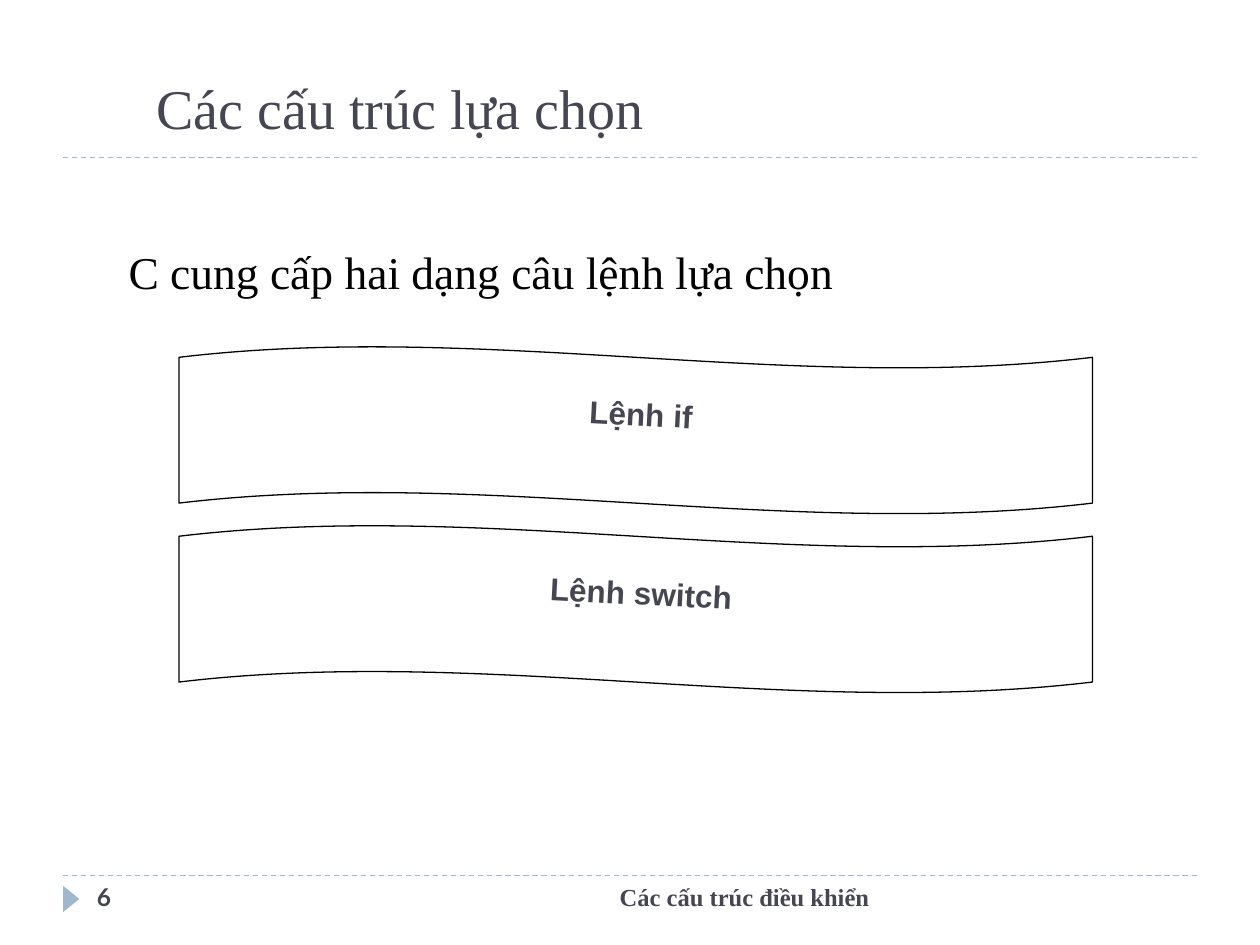
from lxml import etree
from pptx import Presentation
from pptx.dml.color import RGBColor
from pptx.enum.dml import MSO_LINE_DASH_STYLE as DASH
from pptx.enum.shapes import MSO_CONNECTOR, MSO_SHAPE as SHAPE
from pptx.enum.text import MSO_ANCHOR as ANCHOR, MSO_AUTO_SIZE as AUTO, PP_ALIGN as ALIGN
from pptx.oxml.ns import qn
from pptx.util import Inches, Pt

INK, RULE, BLACK = "464653", "9FB8CD", "000000"
SERIF = "Times New Roman"


def rgb(code):
    """Turn a hex string into a colour."""
    return RGBColor.from_string(code)


def emu(box):
    """Turn a box in inches into lengths."""
    return [Inches(v) for v in box]


def set_text(sp, text, color, font, para=None, frame=None):
    """Write one formatted paragraph into a shape."""
    tf = sp.text_frame
    settings = {"auto_size": AUTO.NONE, "word_wrap": True, "vertical_anchor": ANCHOR.TOP}
    for key, value in (settings | (frame or {})).items():
        setattr(tf, key, value)
    p = tf.paragraphs[0]
    for key, value in ({"alignment": ALIGN.LEFT, "space_before": Pt(0)} | (para or {})).items():
        setattr(p, key, value)
    r = p.add_run()
    r.text = text
    for key, value in font.items():
        setattr(r.font, key, value)
    r.font.color.rgb = rgb(color)
    return p


def place(sp, box):
    """Move a placeholder to a box."""
    sp.left, sp.top, sp.width, sp.height = emu(box)


def add_label(slide, box, text, font, para=None, frame=None, rotation=0):
    """Add a bold ink-coloured text box."""
    sp = slide.shapes.add_textbox(*emu(box))
    sp.rotation = rotation
    set_text(sp, text, INK, font | {"bold": True}, para, frame)


def add_rule(slide, x, y, w):
    """Add a dashed horizontal rule."""
    line = slide.shapes.add_connector(MSO_CONNECTOR.STRAIGHT, *emu((x, y, x + w, y)))
    line.line.color.rgb = rgb(RULE)
    line.line.width = Pt(0.75)
    line.line.dash_style = DASH.DASH
    etree.SubElement(line._element.spPr, qn("a:effectLst"))


def add_heading(slide, box):
    """Place the title over its rule."""
    place(slide.shapes.title, box)
    set_text(slide.shapes.title, "Các cấu trúc lựa chọn", INK,
             {"name": SERIF, "size": Pt(32)}, frame={"vertical_anchor": ANCHOR.BOTTOM})
    add_rule(slide, 0.5, 1.25, 9)


def add_body(slide, box):
    """Place the introductory sentence without a bullet."""
    sp = slide.placeholders[1]
    place(sp, box)
    p = set_text(sp, "C cung cấp hai dạng câu lệnh lựa chọn", BLACK,
                 {"name": SERIF, "size": Pt(26)}, {"line_spacing": 1.5})
    pPr = p._p.get_or_add_pPr()
    pPr.set("marL", str(Inches(0.3)))
    pPr.set("indent", str(Inches(-0.3)))
    etree.SubElement(pPr, qn("a:buNone"))


def add_wave(slide, box, text):
    """Add an outlined wave with a tilted caption."""
    x, y, w, h = box
    sp = slide.shapes.add_shape(SHAPE.WAVE, *emu(box))
    sp.adjustments[0] = 0.065
    sp.shadow.inherit = False
    sp.fill.background()
    sp.line.color.rgb = rgb(BLACK)
    sp.line.width = Pt(0.75)
    add_label(slide, (x + w * 0.2, y + h / 4, w * 0.61, h / 2), text,
              {"name": "Arial", "size": Pt(18)}, {"alignment": ALIGN.CENTER},
              {"word_wrap": False}, 3)


def add_footer(slide, y, h):
    """Add the bottom rule, page marker, number and footer text."""
    add_rule(slide, 0.5, y, 9)
    sp = slide.shapes.add_shape(SHAPE.ISOSCELES_TRIANGLE, *emu((0.46, y + 0.12, 0.21, 0.13)))
    sp.rotation = 90
    sp.shadow.inherit = False
    sp.fill.solid()
    sp.fill.fore_color.rgb = rgb(RULE)
    sp.line.fill.background()
    add_label(slide, (0.67, y, 2.17, h), "6", {"name": "Lato", "size": Pt(14)})
    add_label(slide, (3.17, y, 3.83, h), "Các cấu trúc điều khiển",
              {"name": SERIF, "size": Pt(14)}, {"alignment": ALIGN.RIGHT})


def main():
    """Build and save the slide."""
    prs = Presentation()
    prs.slide_width, prs.slide_height = emu((10, 7.5))
    slide = prs.slides.add_slide(prs.slide_layouts[1])
    add_heading(slide, (1.14, 0.25, 7.77, 0.92))
    add_body(slide, (0.92, 1.67, 8.58, 0.92))
    for row, text in enumerate(("Lệnh if", "Lệnh switch")):
        add_wave(slide, (1.42, 2.75 + row * 1.42, 7.25, 1.33), text)
    add_footer(slide, 6.95, 0.4)
    prs.save("out.pptx")


if __name__ == "__main__":
    main()
